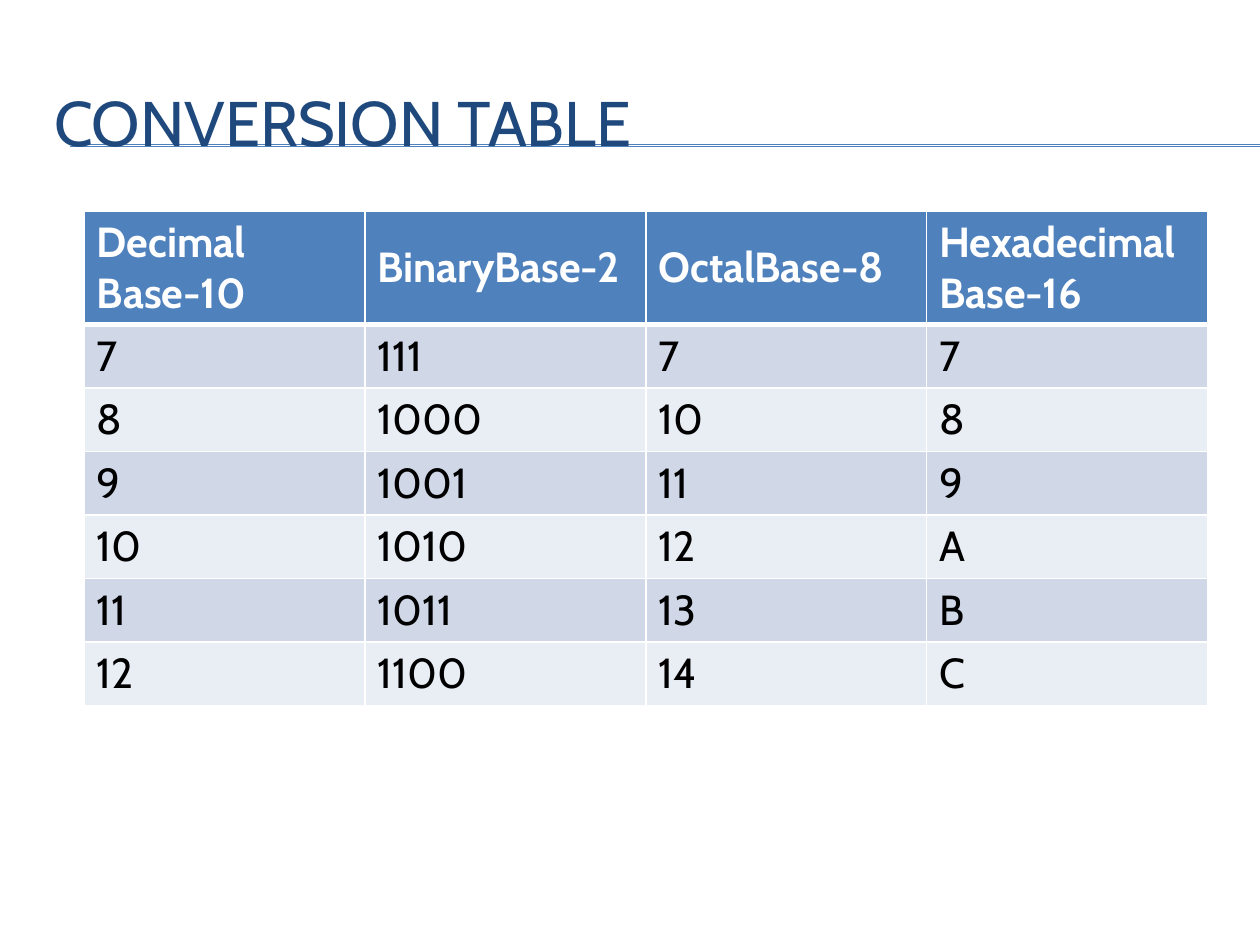
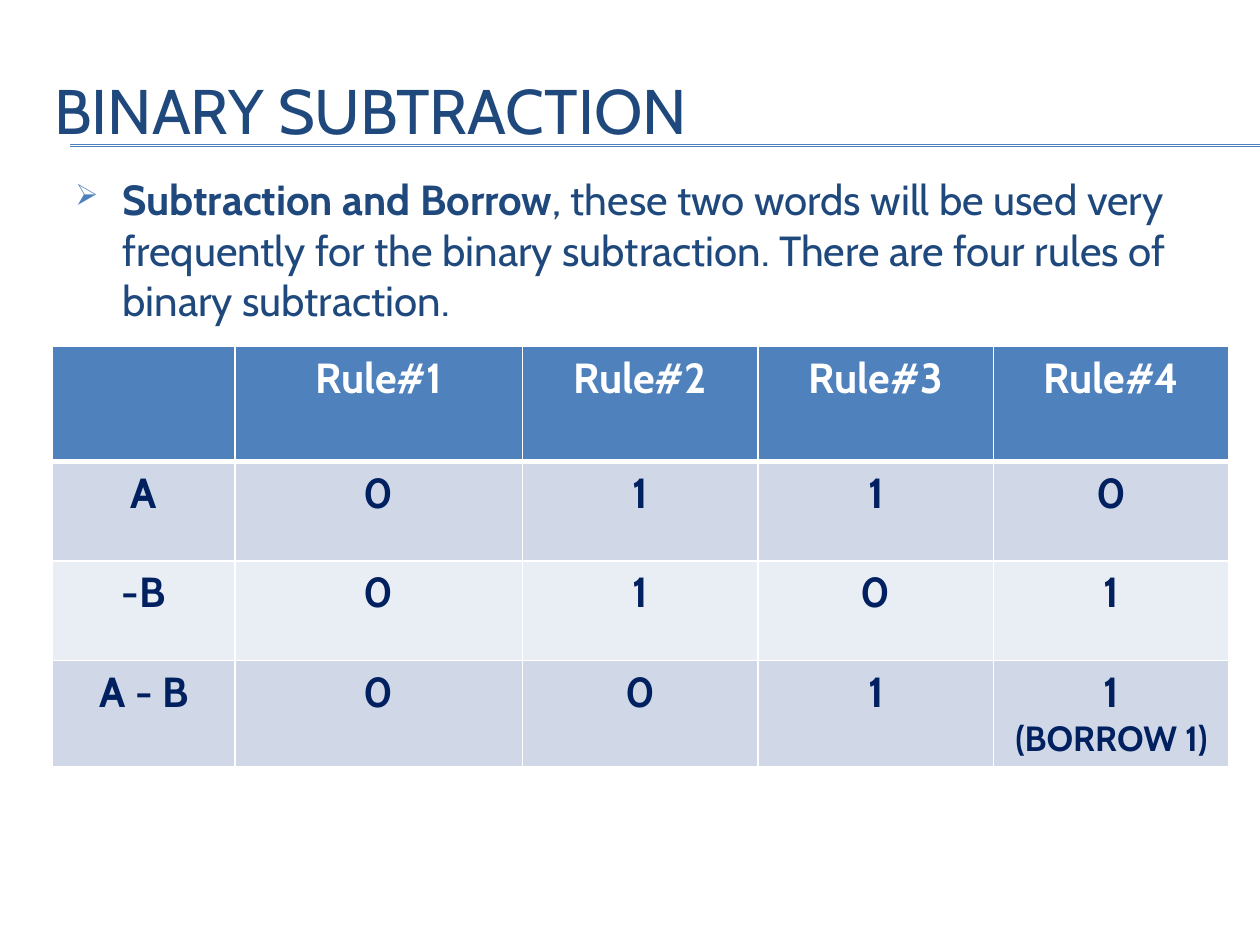
import pptx
import pptx.dml.color
import pptx.enum.shapes
import pptx.enum.text
import pptx.oxml.ns
import pptx.util
from lxml import etree

Cm, Pt = pptx.util.Cm, pptx.util.Pt
ALIGN, ANCHOR = pptx.enum.text.PP_ALIGN, pptx.enum.text.MSO_ANCHOR

# Shared look
FONT = "Cabin"
BLUE, NAVY, DARK, WHITE, BLACK = "4F81BD", "1F497D", "002060", "FFFFFF", "000000"
BANDS = ("D0D8E8", "E9EDF4")
SLIDE_W, SLIDE_H = 25.4, 19.05
TEXT_W = 24.13
TITLE = {"size": Pt(36), "bold": False}
BODY = {"size": Pt(24), "bold": False}
STRONG = {"size": Pt(24), "bold": True}
NOTE = {"size": Pt(20), "bold": True}


def rgb(value):
    return pptx.dml.color.RGBColor.from_string(value)


def sub(parent, tag, **attrs):
    return etree.SubElement(parent, pptx.oxml.ns.qn(tag), attrs)


def format_font(font, color, values):
    font.name = FONT
    font.color.rgb = rgb(color)
    for name, value in values.items():
        setattr(font, name, value)


def add_text_box(s, left, top, height, anchor):
    tf = s.shapes.add_textbox(Cm(left), Cm(top), Cm(TEXT_W), Cm(height)).text_frame
    tf.word_wrap = True
    tf.vertical_anchor = anchor
    return tf


def add_run(p, text, color, values):
    r = p.add_run()
    r.text = text
    format_font(r.font, color, values)


# Slide frame: double rule and title
def add_title_slide(prs, title, top, height):
    s = prs.slides.add_slide(prs.slide_layouts[6])
    for y in (2.92, 2.95):
        rule = s.shapes.add_connector(pptx.enum.shapes.MSO_CONNECTOR.STRAIGHT,
                                      Cm(1.42), Cm(y), Cm(SLIDE_W), Cm(y))
        rule.line.color.rgb = rgb(BLUE)
        rule.line.width = Pt(0.75)
        sub(rule._element.spPr, "a:effectLst")
    tf = add_text_box(s, 0.84, top, height, ANCHOR.MIDDLE)
    add_run(tf.paragraphs[0], title, NAVY, TITLE)
    return s


def add_bullet(s, lead, rest):
    p = add_text_box(s, 1.27, 3.38, 6.55, ANCHOR.TOP).paragraphs[0]
    pPr = p._p.get_or_add_pPr()
    indent = Cm(0.95)
    pPr.set("marL", str(indent))
    pPr.set("indent", str(-indent))
    sub(sub(pPr, "a:buClr"), "a:srgbClr", val=BLUE)
    sub(pPr, "a:buSzPct", val="70000")
    sub(pPr, "a:buChar", char="➢")
    add_run(p, lead, NAVY, STRONG)
    add_run(p, rest, NAVY, BODY)


# Tables
def set_borders(cell, widths):
    tcPr = cell._tc.get_or_add_tcPr()
    for side, width in widths.items():
        ln = sub(tcPr, f"a:ln{side}", w=str(Pt(width)))
        sub(sub(ln, "a:solidFill"), "a:srgbClr", val=WHITE)


def add_banded_table(s, left, top, widths, heights, rows, anchor, align,
                     color, values):
    table = s.shapes.add_table(len(rows), len(widths), Cm(left), Cm(top),
                               Cm(sum(widths)), Cm(sum(heights))).table
    table.horz_banding = False
    for column, width in zip(table.columns, widths):
        column.width = Cm(width)
    for i, (texts, height) in enumerate(zip(rows, heights)):
        table.rows[i].height = Cm(height)
        header = i == 0
        for j, text in enumerate(texts):
            cell = table.cell(i, j)
            set_borders(cell, {"L": 1, "R": 1, "T": 3 if i == 1 else 1,
                               "B": 3 if header else 1})
            cell.fill.solid()
            cell.fill.fore_color.rgb = rgb(BLUE if header else BANDS[(i - 1) % 2])
            cell.vertical_anchor = anchor
            cell.text = text
            for p in cell.text_frame.paragraphs:
                p.alignment = align
                for r in p.runs:
                    format_font(r.font, WHITE if header else color,
                                STRONG if header else values)
    return table


def main():
    prs = pptx.Presentation()
    prs.slide_width, prs.slide_height = Cm(SLIDE_W), Cm(SLIDE_H)

    # Conversion table
    s = add_title_slide(prs, "CONVERSION TABLE", 1.27, 2.34)
    conversions = [["Decimal Base-10", "BinaryBase-2", "OctalBase-8",
                    "Hexadecimal\vBase-16"]]
    conversions += [[str(n), f"{n:b}", f"{n:o}", f"{n:X}"] for n in range(7, 13)]
    add_banded_table(s, 1.7, 4.25, [5.66] * 4, [2.29] + [1.28] * 6, conversions,
                     ANCHOR.MIDDLE, ALIGN.LEFT, BLACK, BODY)

    # Binary subtraction
    s = add_title_slide(prs, "BINARY SUBTRACTION", 0.84, 2.74)
    add_bullet(s, "Subtraction and Borrow",
               ", these two words will be used very frequently for the binary "
               "subtraction. There are four rules of binary subtraction.")
    rules = [
        [""] + [f"Rule#{n}" for n in range(1, 5)],
        ["A", "0", "1", "1", "0"],
        ["-B", "0", "1", "0", "1"],
        ["A - B", "0", "0", "1", "1\n(BORROW 1)"],
    ]
    table = add_banded_table(s, 1.06, 6.99, [3.68, 5.79] + [4.75] * 3,
                             [2.31, 2.01, 2.01, 2.13], rules,
                             ANCHOR.TOP, ALIGN.CENTER, DARK, STRONG)
    borrow = table.cell(3, 4).text_frame.paragraphs[1].runs[0]
    format_font(borrow.font, DARK, NOTE)

    prs.save("out.pptx")


if __name__ == "__main__":
    main()
